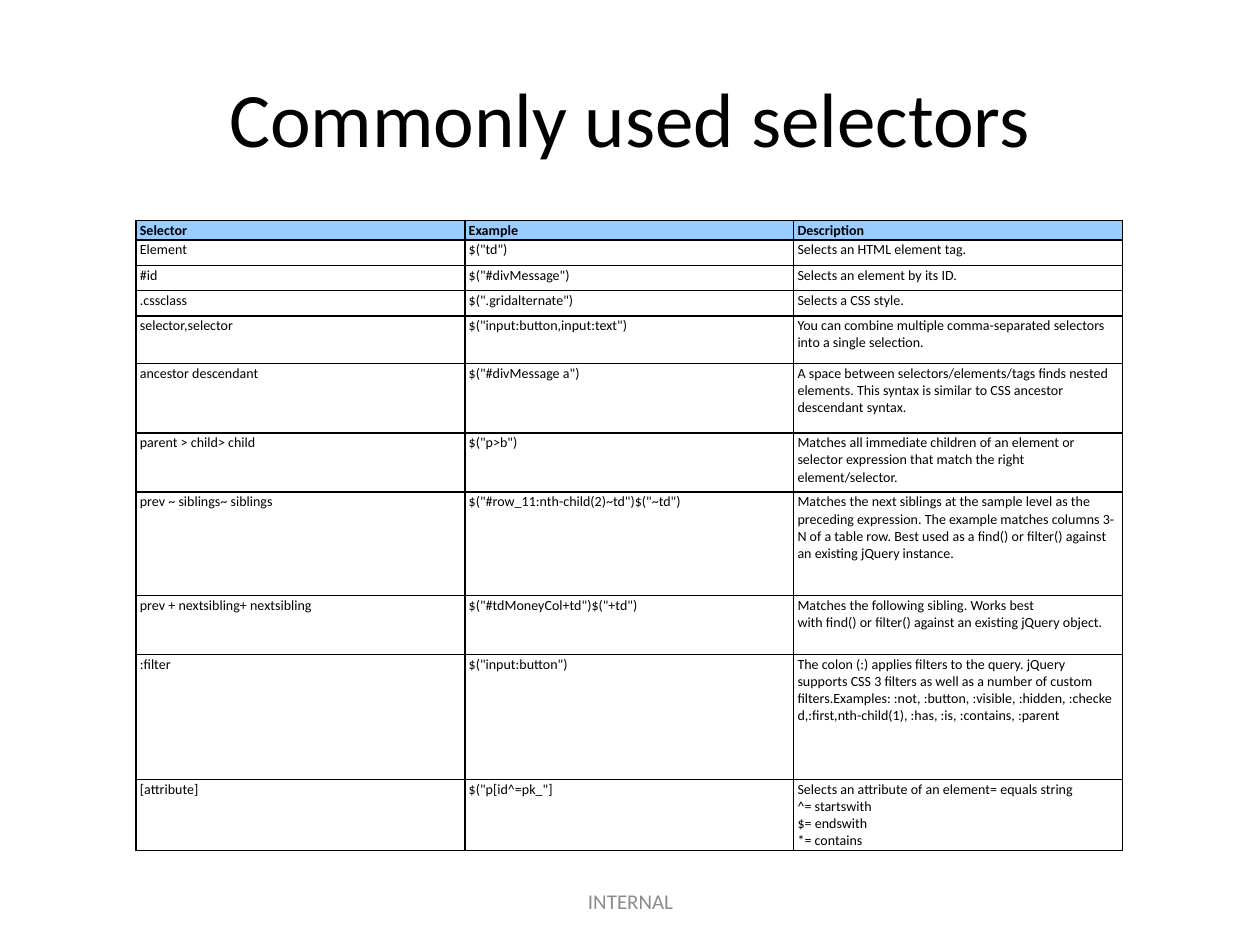
from lxml.etree import SubElement
from pptx import Presentation
from pptx.dml.color import RGBColor
from pptx.enum.text import MSO_ANCHOR, PP_ALIGN
from pptx.oxml.ns import qn
from pptx.util import Inches, Pt

BLACK = RGBColor(0x00, 0x00, 0x00)
WHITE = RGBColor(0xFF, 0xFF, 0xFF)
GREY = RGBColor(0x8C, 0x8C, 0x8C)
SKY = RGBColor(0x99, 0xCC, 0xFF)

SLIDE_COLUMNS, SLIDE_ROWS = 100, 75
TITLE_ONLY = 5

SELECTORS = [
    ("Selector", "Example", "Description"),
    ("Element", '$("td")', "Selects an HTML element tag."),
    ("#id", '$("#divMessage")', "Selects an element by its ID."),
    (".cssclass", '$(".gridalternate")', "Selects a CSS style."),
    ("selector,selector", '$("input:button,input:text")',
     "You can combine multiple comma-separated selectors into a single selection."),
    ("ancestor descendant", '$("#divMessage a")',
     "A space between selectors/elements/tags finds nested elements. "
     "This syntax is similar to CSS ancestor descendant syntax."),
    ("parent > child> child", '$("p>b")',
     "Matches all immediate children of an element or selector expression "
     "that match the right element/selector."),
    ("prev ~ siblings~ siblings", '$("#row_11:nth-child(2)~td")$("~td")',
     "Matches the next siblings at the sample level as the preceding expression. "
     "The example matches columns 3-N of a table row. Best used as "
     "a\u00a0find()\u00a0or\u00a0filter()\u00a0against an existing jQuery instance."),
    ("prev + nextsibling+ nextsibling", '$("#tdMoneyCol+td")$("+td")',
     "Matches the following sibling. Works best "
     "with\u00a0find()\u00a0or\u00a0filter()\u00a0against an existing jQuery object."),
    (":filter", '$("input:button")',
     "The colon (:) applies filters to the query. jQuery supports CSS 3 filters "
     "as well as a number of custom filters.Examples:\u00a0:not,\u00a0:button,"
     "\u00a0:visible,\u00a0:hidden,\u00a0:checked,:first,nth-child(1),"
     "\u00a0:has,\u00a0:is,\u00a0:contains,\u00a0:parent"),
    ("[attribute]", '$("p[id^=pk_"]',
     "Selects an attribute of an element= equals string\u00a0\v"
     "^= startswith\v$= endswith\v*= contains"),
]
ROW_HEIGHTS = [1.2, 2, 2, 2, 3.8, 5.5, 4.7, 8.2, 4.7, 9.9, 5.5]


def write(frame, text, size, font, color=BLACK, bold=False, align=PP_ALIGN.LEFT):
    """Put one formatted paragraph into a text frame."""
    para = frame.paragraphs[0]
    para.text = text
    para.alignment = align
    for span in para.runs:
        span.font.name = font
        span.font.size = Pt(size)
        span.font.bold = bold
        span.font.color.rgb = color


def outline(cell, color, width):
    """Draw the four borders of a table cell."""
    properties = cell._tc.get_or_add_tcPr()
    for side in ("a:lnL", "a:lnR", "a:lnT", "a:lnB"):
        line = SubElement(properties, qn(side), w=str(Pt(width)))
        fill = SubElement(line, qn("a:solidFill"))
        SubElement(fill, qn("a:srgbClr"), val=str(color))


class SlideBuilder:
    """Holds the style and the current slide; lengths are grid units."""

    font = "Calibri"

    def __init__(self, deck):
        """Add a title-only slide and measure its grid."""
        self.slide = deck.slides.add_slide(deck.slide_layouts[TITLE_ONLY])
        self.column = deck.slide_width / SLIDE_COLUMNS
        self.row = deck.slide_height / SLIDE_ROWS

    def area(self, left, top, width, height):
        """Turn grid units into slide lengths."""
        return (int(left * self.column), int(top * self.row),
                int(width * self.column), int(height * self.row))

    def title(self, text, *place):
        """Fill and place the title placeholder."""
        box = self.slide.shapes.title
        box.left, box.top, box.width, box.height = self.area(*place)
        box.text_frame.vertical_anchor = MSO_ANCHOR.MIDDLE
        write(box.text_frame, text, 44, self.font, align=PP_ALIGN.CENTER)

    def label(self, text, *place):
        """Add a centred grey label."""
        frame = self.slide.shapes.add_textbox(*self.area(*place)).text_frame
        frame.word_wrap = True
        frame.vertical_anchor = MSO_ANCHOR.MIDDLE
        write(frame, text, 12, self.font, color=GREY, align=PP_ALIGN.CENTER)

    def table(self, records, heights, left, top, width):
        """Add a bordered table with equal columns and a tinted header."""
        place = self.area(left, top, width, sum(heights))
        table = self.slide.shapes.add_table(
            len(records), len(records[0]), *place).table
        for row, height in zip(table.rows, heights):
            row.height = int(height * self.row)
        for index, record in enumerate(records):
            header = index == 0
            for cell, text in zip(table.rows[index].cells, record):
                cell.margin_left = cell.margin_right = Inches(0.03)
                cell.margin_top = cell.margin_bottom = Inches(0.01)
                outline(cell, BLACK, 1)
                cell.fill.solid()
                cell.fill.fore_color.rgb = SKY if header else WHITE
                write(cell.text_frame, text, 8, self.font, bold=header)


def main():
    """Build and save the slide."""
    deck = Presentation()
    deck.slide_width, deck.slide_height = Inches(10), Inches(7.5)
    page = SlideBuilder(deck)
    page.title("Commonly used selectors", 5, 3, 90, 12.5)
    page.table(SELECTORS, ROW_HEIGHTS, 10.8, 17.5, 78.3)
    page.label("INTERNAL", 34.2, 69.5, 31.7, 4)
    deck.save("out.pptx")


main()
